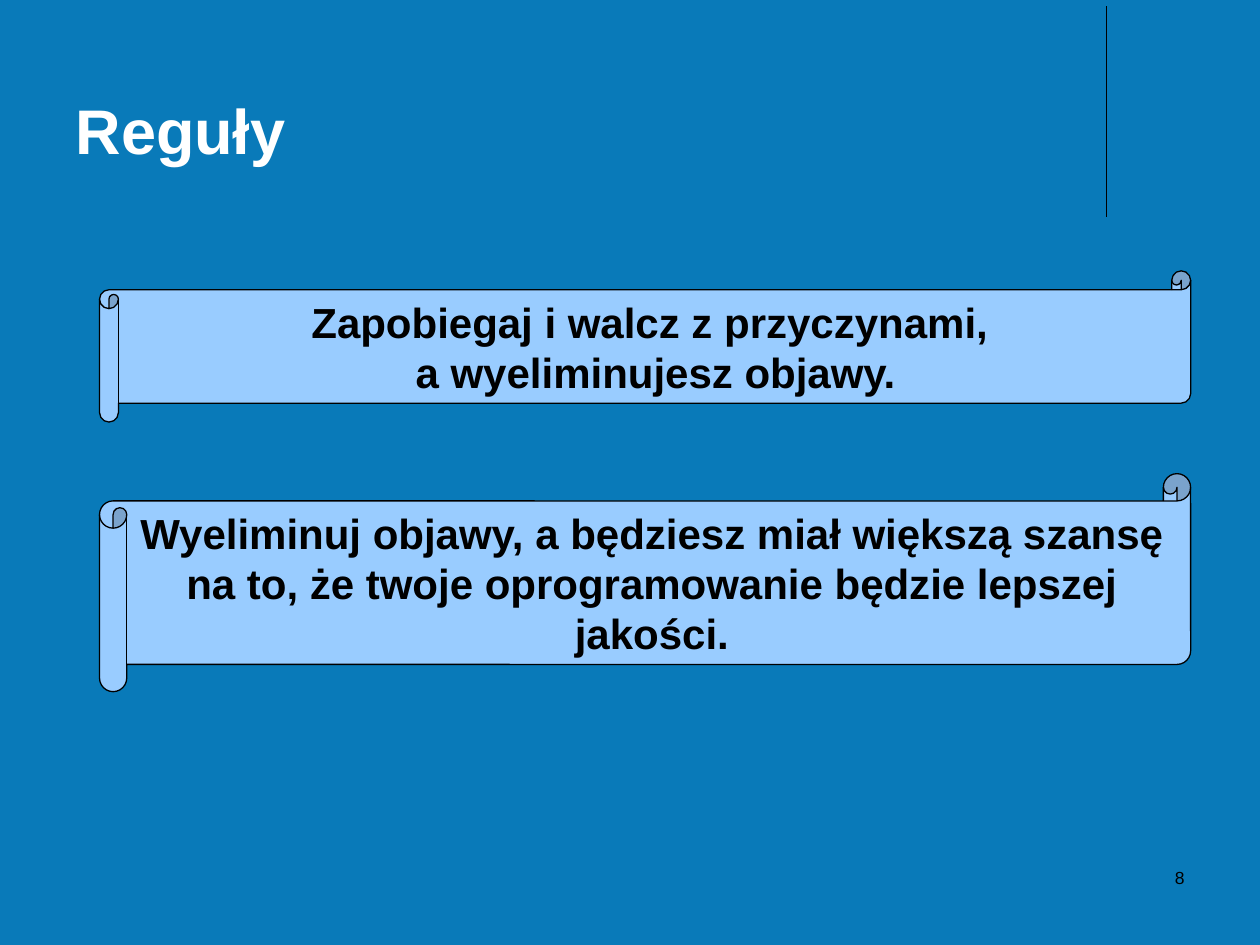
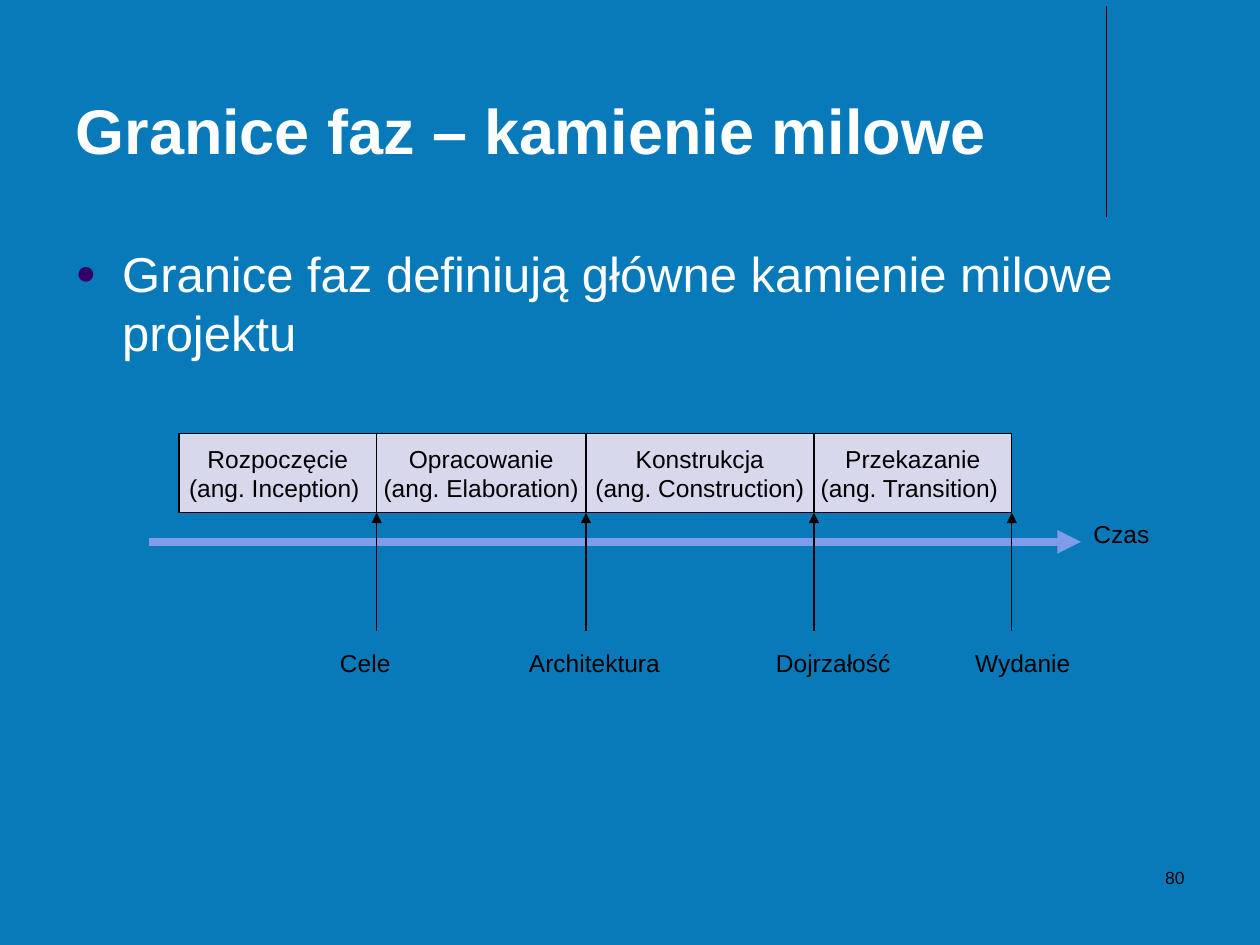
from dataclasses import dataclass

from lxml.etree import SubElement
from pptx import Presentation
from pptx.dml.color import RGBColor
from pptx.enum.shapes import MSO_CONNECTOR, MSO_SHAPE
from pptx.enum.text import MSO_ANCHOR as Anchor, MSO_AUTO_SIZE as AutoSize, PP_ALIGN as Align
from pptx.oxml.ns import qn
from pptx.shapes.autoshape import Shape
from pptx.slide import Slide
from pptx.util import Inches, Pt

FONT = "Arial"
COLORS = {
    "background": "097AB9",
    "white": "FFFFFF",
    "black": "000000",
    "scroll": "99CCFF",
    "phase": "D8D8EC",
    "time": "7E9CE8",
    "bullet": "330066",
}
TITLE_ONLY, TITLE_AND_BODY = 5, 1
PHASE_LEFT, PHASE_TOP, PHASE_HEIGHT = 1.42, 3.44, 0.63
MILESTONE_BOTTOM, LABEL_TOP, LABEL_HEIGHT = 5.01, 5.09, 0.34


@dataclass(frozen=True)
class Box:
    left: float
    top: float
    width: float
    height: float

    def lengths(self) -> list[Inches]:
        return [Inches(value) for value in (self.left, self.top, self.width, self.height)]


@dataclass(frozen=True)
class Rule:
    text: str
    box: Box


@dataclass(frozen=True)
class Phase:
    """A phase and the milestone at its end; label_shift is measured from the arrow."""
    text: str
    width: float
    milestone: str
    label_shift: float
    label_width: float


RULES = [
    Rule("Zapobiegaj i walcz z przyczynami,\n a wyeliminujesz objawy.", Box(0.79, 2.15, 8.66, 1.2)),
    Rule("Wyeliminuj objawy, a będziesz miał większą szansę na to, "
         "że twoje oprogramowanie będzie lepszej jakości.", Box(0.79, 3.76, 8.66, 1.73)),
]
PHASES = [
    Phase("Rozpoczęcie\n(ang. Inception) ", 1.57, "Cele", -0.39, 0.63),
    Phase("Opracowanie\n(ang. Elaboration)", 1.66, "Architektura", -0.55, 1.5),
    Phase("Konstrukcja\n(ang. Construction)", 1.81, "Dojrzałość", -0.4, 1.34),
    Phase("Przekazanie\n(ang. Transition) ", 1.57, "Wydanie", -0.39, 1.02),
]


def color(name: str) -> RGBColor:
    return RGBColor.from_string(COLORS[name])


def set_text(shape: Shape, text: str, size: float, font_color: str = "black", bold: bool = False,
             align: Align = Align.LEFT, anchor: Anchor = Anchor.TOP, wrap: bool = True) -> None:
    frame = shape.text_frame
    frame.text = text
    frame.auto_size = AutoSize.NONE
    frame.word_wrap = wrap
    frame.vertical_anchor = anchor
    for paragraph in frame.paragraphs:
        paragraph.alignment = align
        for run in paragraph.runs:
            run.font.name = FONT
            run.font.size = Pt(size)
            run.font.bold = bold
            run.font.color.rgb = color(font_color)


def move(shape: Shape, box: Box) -> None:
    shape.left, shape.top, shape.width, shape.height = box.lengths()


def add_label(slide: Slide, text: str, box: Box, size: float = 14, align: Align = Align.LEFT) -> None:
    set_text(slide.shapes.add_textbox(*box.lengths()), text, size, align=align)


def add_filled_shape(slide: Slide, kind: MSO_SHAPE, box: Box, fill: str, line_width: float) -> Shape:
    shape = slide.shapes.add_shape(kind, *box.lengths())
    shape.shadow.inherit = False
    shape.fill.solid()
    shape.fill.fore_color.rgb = color(fill)
    shape.line.color.rgb = color("black")
    shape.line.width = Pt(line_width)
    return shape


def add_line(slide: Slide, start: tuple[float, float], end: tuple[float, float],
             line_color: str = "black", width: float = 0.75, arrow: bool = False) -> None:
    points = [Inches(value) for value in (*start, *end)]
    connector = slide.shapes.add_connector(MSO_CONNECTOR.STRAIGHT, *points)
    connector.line.color.rgb = color(line_color)
    connector.line.width = Pt(width)
    if arrow:
        SubElement(connector.line._get_or_add_ln(), qn("a:tailEnd"), type="triangle")
    SubElement(connector._element.spPr, qn("a:effectLst"))


def add_bullet(shape: Shape) -> None:
    paragraph = shape.text_frame.paragraphs[0]
    paragraph.space_before = Pt(7)
    properties = paragraph._p.get_or_add_pPr()
    properties.set("marL", str(Inches(0.37)))
    properties.set("indent", str(Inches(-0.37)))
    bullet_color = SubElement(properties, qn("a:buClr"))
    SubElement(bullet_color, qn("a:srgbClr"), val=COLORS["bullet"])
    SubElement(properties, qn("a:buSzPct"), val="70000")
    SubElement(properties, qn("a:buFont"), typeface=FONT)
    SubElement(properties, qn("a:buChar"), char="●")


def add_slide(presentation: Presentation, layout: int, title: str, number: int) -> Slide:
    """Add a slide with the shared title, corner line and page number."""
    slide = presentation.slides.add_slide(presentation.slide_layouts[layout])
    add_line(slide, (8.78, 0.05), (8.78, 1.72))
    move(slide.shapes.title, Box(0.5, 0.13, 8.25, 1.25))
    set_text(slide.shapes.title, title, 36, "white", bold=True, anchor=Anchor.BOTTOM)
    add_label(slide, str(number), Box(7.17, 6.83, 2.33, 0.5), size=10, align=Align.RIGHT)
    return slide


def build_rules(presentation: Presentation) -> None:
    slide = add_slide(presentation, TITLE_ONLY, "Reguły", 8)
    for rule in RULES:
        scroll = add_filled_shape(slide, MSO_SHAPE.HORIZONTAL_SCROLL, rule.box, "scroll", 0)
        set_text(scroll, rule.text, 24, bold=True, align=Align.CENTER, anchor=Anchor.MIDDLE)


def build_milestones(presentation: Presentation) -> None:
    slide = add_slide(presentation, TITLE_AND_BODY, "Granice faz – kamienie milowe", 80)
    body = slide.placeholders[1]
    move(body, Box(0.5, 1.88, 9, 1.16))
    set_text(body, "Granice faz definiują główne kamienie milowe projektu", 28, "white")
    add_bullet(body)

    left = PHASE_LEFT
    for phase in PHASES:
        box = Box(left, PHASE_TOP, phase.width, PHASE_HEIGHT)
        process = add_filled_shape(slide, MSO_SHAPE.FLOWCHART_PROCESS, box, "phase", 0.75)
        set_text(process, phase.text, 14, align=Align.CENTER, anchor=Anchor.MIDDLE, wrap=False)
        left += phase.width

    add_line(slide, (1.18, 4.3), (8.58, 4.3), "time", 4.5, arrow=True)
    add_label(slide, "Czas", Box(8.58, 4.07, 0.79, LABEL_HEIGHT))

    end = PHASE_LEFT
    for phase in PHASES:
        end += phase.width
        add_line(slide, (end, MILESTONE_BOTTOM), (end, PHASE_TOP + PHASE_HEIGHT), arrow=True)
        add_label(slide, phase.milestone,
                  Box(end + phase.label_shift, LABEL_TOP, phase.label_width, LABEL_HEIGHT))


def main() -> None:
    presentation = Presentation()
    presentation.slide_width = Inches(10)
    presentation.slide_height = Inches(7.5)
    background = presentation.slide_master.background.fill
    background.solid()
    background.fore_color.rgb = color("background")
    build_rules(presentation)
    build_milestones(presentation)
    presentation.save("out.pptx")


if __name__ == "__main__":
    main()
